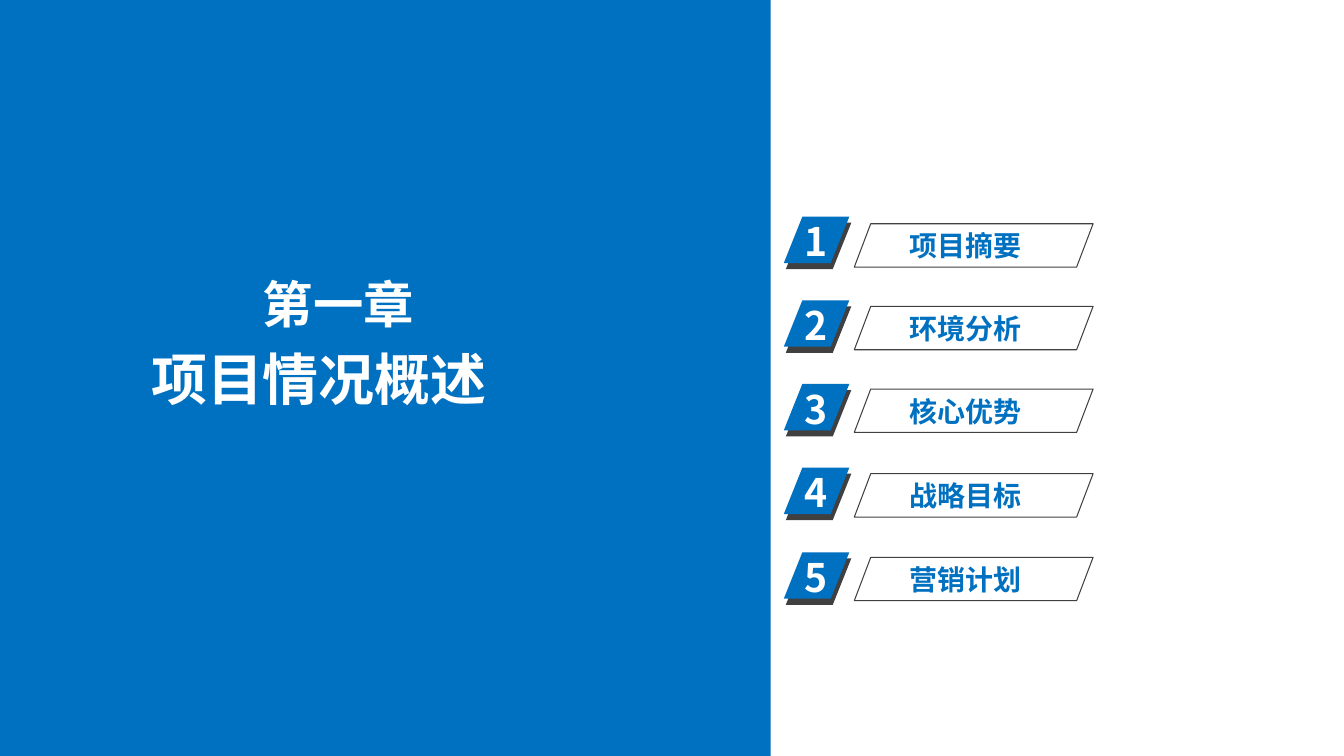
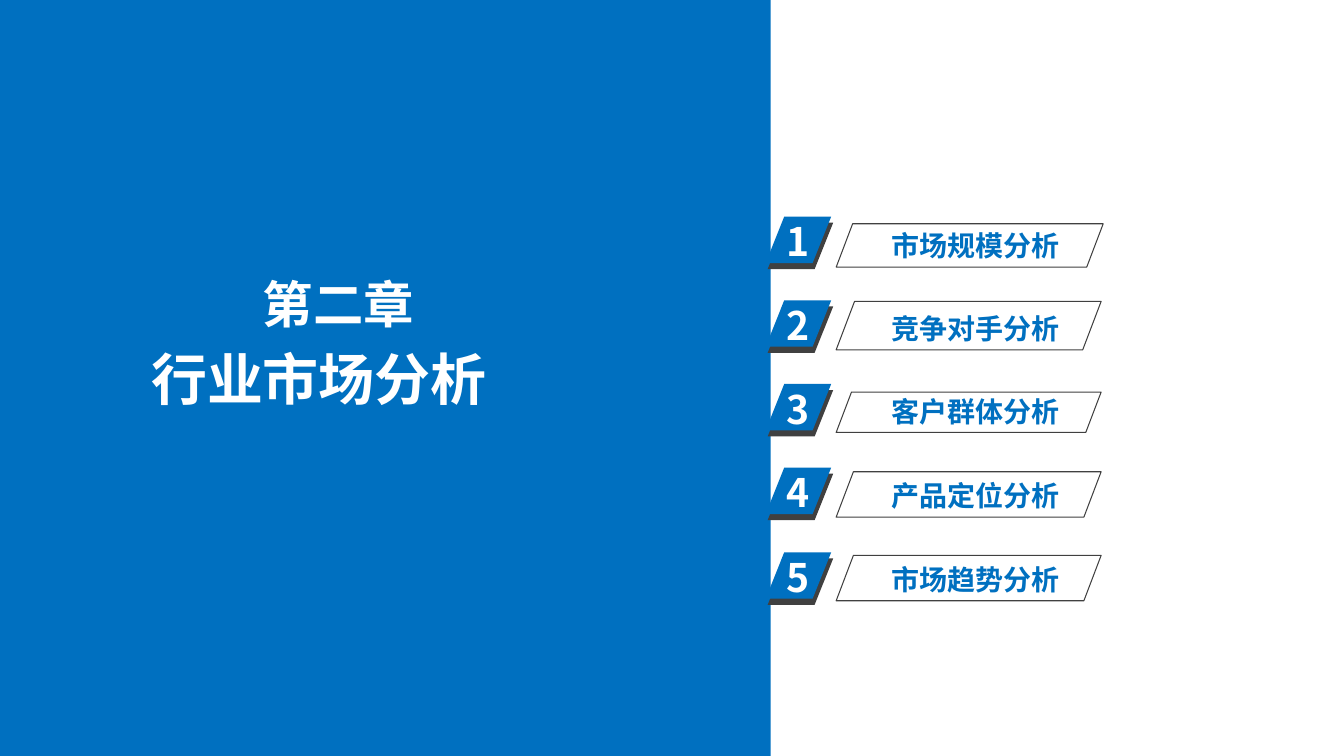
from dataclasses import dataclass

from lxml import etree
from pptx import Presentation
from pptx.dml.color import RGBColor
from pptx.enum.shapes import MSO_SHAPE
from pptx.enum.text import MSO_ANCHOR, MSO_AUTO_SIZE, PP_ALIGN
from pptx.oxml.ns import qn
from pptx.util import Pt

RECTANGLE = MSO_SHAPE.RECTANGLE
PARALLELOGRAM = MSO_SHAPE.PARALLELOGRAM
TOP = MSO_ANCHOR.TOP
LEFT = PP_ALIGN.LEFT
NO_AUTOFIT = MSO_AUTO_SIZE.NONE

PX = 9144
SLIDE_W, SLIDE_H = 1334, 750
PANEL = (0, 0, 765, SLIDE_H)
FIRST_BADGE, LAST_BADGE = 215, 548
BADGE_W, BADGE_H = 65, 46
LABEL_TOPS = (222, 304, 386, 470, 553)
LABEL_H = 43


@dataclass(frozen=True)
class Theme:
    """Colours, font and type sizes of the deck."""
    blue: RGBColor = RGBColor(0x00, 0x70, 0xC0)
    dark: RGBColor = RGBColor(0x40, 0x40, 0x40)
    white: RGBColor = RGBColor(0xFF, 0xFF, 0xFF)
    font: str = "Noto Sans CJK SC"
    title: int = 40
    chapter: int = 36
    number: int = 28
    label: int = 20


THEME = Theme()

CHAPTERS = (
    {"chapter": "第一章", "title": "项目情况概述", "left": 778,
     "labels": ("项目摘要", "环境分析", "核心优势", "战略目标", "营销计划"),
     "frames": ((237, 43),) * 5},
    {"chapter": "第二章", "title": "行业市场分析", "left": 760,
     "labels": ("市场规模分析", "竞争对手分析", "客户群体分析", "产品定位分析", "市场趋势分析"),
     "frames": ((265, 43), (263, 48), (263, 40), (263, 45), (263, 45))},
)


def emu(*lengths):
    """Turn px lengths into EMU."""
    return [n * PX for n in lengths]


def write(sp, text, size, color):
    """Write one bold line from the top left of a shape."""
    tf = sp.text_frame
    tf.text = text
    tf.word_wrap = True
    tf.auto_size = NO_AUTOFIT
    tf.vertical_anchor = TOP
    p = tf.paragraphs[0]
    p.alignment = LEFT
    r = p.runs[0]
    r.font.size = Pt(size)
    r.font.bold = True
    r.font.color.rgb = color
    r.font.name = THEME.font
    etree.SubElement(r._r.get_or_add_rPr(), qn("a:ea"), typeface=THEME.font)


def add_text(shapes, box, text, size, color):
    """Add a text box with one line."""
    write(shapes.add_textbox(*emu(*box)), text, size, color)


def add_block(shapes, kind, box, fill=None, slant=None):
    """Add a filled shape, or a thin dark outline when no fill is given."""
    sp = shapes.add_shape(kind, *emu(*box))
    sp.shadow.inherit = False
    if slant is not None:
        sp.adjustments[0] = slant
    if fill is None:
        sp.fill.background()
        sp.line.color.rgb = THEME.dark
        sp.line.width = Pt(0.75)
    else:
        sp.fill.solid()
        sp.fill.fore_color.rgb = fill
        sp.line.fill.background()
    return sp


def add_title_panel(s, box, chapter, title):
    """Place the blue panel with the chapter number and slide title."""
    x, y, w, h = box
    panel = add_block(s.shapes, RECTANGLE, box, THEME.blue)
    holder = s.shapes.title
    holder._element.addprevious(panel._element)
    holder.left, holder.top, holder.width, holder.height = emu(x + 140, y + 337, 377, 77)
    write(holder, title, THEME.title, THEME.white)
    add_text(s.shapes, (x + 251, y + 266, 181, 70), chapter, THEME.chapter, THEME.white)


def add_badge(s, x, y, number):
    """Place a slanted number badge with its dark offset layer."""
    shapes = s.shapes.add_group_shape().shapes
    for offset, fill in (((2, 6), THEME.dark), ((0, 0), THEME.blue)):
        box = (x + offset[0], y + offset[1], BADGE_W, BADGE_H)
        add_block(shapes, PARALLELOGRAM, box, fill, 0.4)
    add_text(shapes, (x + 11, y - 4, 69, 57), str(number), THEME.number, THEME.white)


def add_agenda(s, left, labels, frames):
    """Place the numbered list of sections."""
    span = LAST_BADGE - FIRST_BADGE
    for i, (label, top, (w, h)) in enumerate(zip(labels, LABEL_TOPS, frames)):
        add_badge(s, left, FIRST_BADGE + span * i // (len(labels) - 1), i + 1)
        frame = (left + 70, top + LABEL_H - h, w, h)
        add_block(s.shapes, PARALLELOGRAM, frame, slant=0.38)
        add_text(s.shapes, (left + 115, top, 303, 44), label, THEME.label, THEME.blue)


def add_chapter_slide(prs, chapter, title, left, labels, frames):
    """Add one chapter opening slide."""
    s = prs.slides.add_slide(prs.slide_layouts[5])
    add_title_panel(s, PANEL, chapter, title)
    add_agenda(s, left, labels, frames)


def main():
    """Build and save the deck."""
    prs = Presentation()
    prs.slide_width, prs.slide_height = emu(SLIDE_W, SLIDE_H)
    for chapter in CHAPTERS:
        add_chapter_slide(prs, **chapter)
    prs.save("out.pptx")


if __name__ == "__main__":
    main()
